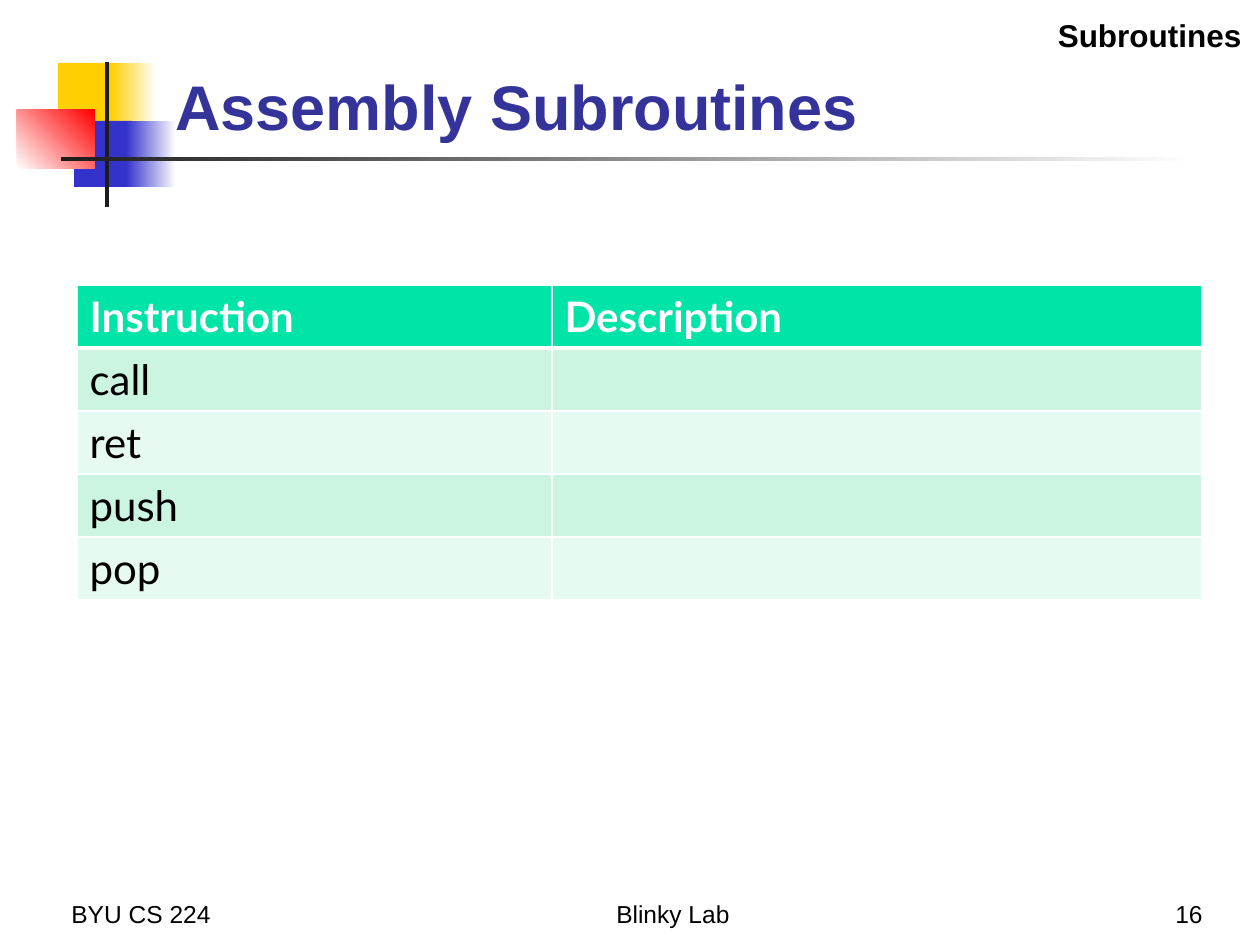
from lxml import etree
from pptx import Presentation
from pptx.dml.color import RGBColor
from pptx.enum.shapes import MSO_SHAPE
from pptx.enum.text import MSO_ANCHOR, PP_ALIGN
from pptx.oxml.ns import qn
from pptx.util import Emu, Pt

RECTANGLE = MSO_SHAPE.RECTANGLE
TOP, BOTTOM = MSO_ANCHOR.TOP, MSO_ANCHOR.BOTTOM
LEFT, CENTER, RIGHT = PP_ALIGN.LEFT, PP_ALIGN.CENTER, PP_ALIGN.RIGHT

EMU_PER_PX = 914400 // 126
BLACK, WHITE, CHARCOAL = "000000", "FFFFFF", "1C1C1C"
YELLOW, BLUE, RED, NAVY = "FFCF01", "3333CC", "FF0000", "333399"
HEADER_GREEN, BANDS = "00E4A8", ("CCF5E1", "E7FAF1")


def px(length):
    return Emu(length * EMU_PER_PX)


def color(hex_string):
    return RGBColor.from_string(hex_string)


def write(text_frame, text, font="Arial", size=14, fill=BLACK, bold=False, align=LEFT):
    paragraph = text_frame.paragraphs[0]
    paragraph.alignment = align
    run = paragraph.add_run()
    run.text = text
    run.font.name = font
    run.font.size = Pt(size)
    run.font.bold = bold
    run.font.color.rgb = color(fill)


def add_borders(cell, hex_string, widths):
    """Draw cell borders; widths maps each side (L, R, T, B in order) to points."""
    properties = cell._tc.get_or_add_tcPr()
    for index, (side, width) in enumerate(widths.items()):
        line = etree.Element(qn(f"a:ln{side}"), w=str(Pt(width)))
        solid = etree.SubElement(line, qn("a:solidFill"))
        etree.SubElement(solid, qn("a:srgbClr"), val=hex_string)
        properties.insert(index, line)


class SlideBuilder:
    """Holds the current slide and draws its elements in one style."""

    def __init__(self, slide):
        self.slide = slide

    def rectangle(self, box, fill, fade_to=None, angle=0):
        """Add a plain rectangle, or a gradient one when fade_to is given."""
        shape = self.slide.shapes.add_shape(RECTANGLE, *map(px, box))
        shape.shadow.inherit = False
        shape.line.fill.background()
        if fade_to is None:
            shape.fill.solid()
            shape.fill.fore_color.rgb = color(fill)
            return
        shape.fill.gradient()
        shape.fill.gradient_angle = angle
        for stop, stop_color in zip(shape.fill.gradient_stops, (fill, fade_to)):
            stop.color.rgb = color(stop_color)

    def text(self, box, text, anchor=BOTTOM, **text_format):
        text_frame = self.slide.shapes.add_textbox(*map(px, box)).text_frame
        text_frame.word_wrap = True
        text_frame.vertical_anchor = anchor
        write(text_frame, text, **text_format)

    def table(self, left, top, column_widths, row_height, rows):
        """Add a table with a header row and banded body rows."""
        box = (left, top, sum(column_widths), row_height * len(rows))
        frame = self.slide.shapes.add_table(len(rows), len(column_widths), *map(px, box))
        table = frame.table
        for column, width in zip(table.columns, column_widths):
            column.width = px(width)
        for row_index, values in enumerate(rows):
            table.rows[row_index].height = px(row_height)
            is_header = row_index == 0
            fill = HEADER_GREEN if is_header else BANDS[(row_index - 1) % 2]
            top_width = 3 if row_index == 1 else 1
            bottom_width = 3 if is_header else 1
            for column_index, value in enumerate(values):
                cell = table.cell(row_index, column_index)
                cell.fill.solid()
                cell.fill.fore_color.rgb = color(fill)
                add_borders(cell, WHITE, {"L": 1, "R": 1, "T": top_width, "B": bottom_width})
                if value:
                    write(cell.text_frame, value, font="Lato", size=24,
                          fill=WHITE if is_header else BLACK, bold=is_header)


def main():
    presentation = Presentation()
    presentation.slide_width, presentation.slide_height = px(1260), px(945)
    builder = SlideBuilder(presentation.slides.add_slide(presentation.slide_layouts[6]))

    builder.rectangle((58, 63, 60, 66), YELLOW)
    builder.rectangle((111, 63, 45, 66), YELLOW, fade_to=WHITE)
    builder.rectangle((74, 121, 58, 66), BLUE)
    builder.rectangle((126, 121, 50, 66), BLUE, fade_to=WHITE)
    builder.rectangle((17, 110, 78, 59), WHITE, fade_to=RED, angle=45)
    builder.rectangle((105, 62, 4, 145), CHARCOAL)
    builder.rectangle((61, 157, 1134, 4), CHARCOAL, fade_to=WHITE)

    builder.text((59, 872, 262, 63), "BYU CS 224")
    builder.text((350, 872, 646, 63), "Blinky Lab", align=CENTER)
    builder.text((953, 872, 262, 63), "16", align=RIGHT)
    builder.text((163, 29, 1074, 120), "Assembly Subroutines", size=36, fill=NAVY, bold=True)
    builder.text((747, 10, 507, 50), "Subroutines", anchor=TOP, size=18, bold=True, align=RIGHT)

    instructions = ["call", "ret", "push", "pop"]
    rows = [("Instruction", "Description")] + [(name, "") for name in instructions]
    builder.table(77, 285, (475, 650), 63, rows)

    presentation.save("out.pptx")


if __name__ == "__main__":
    main()
